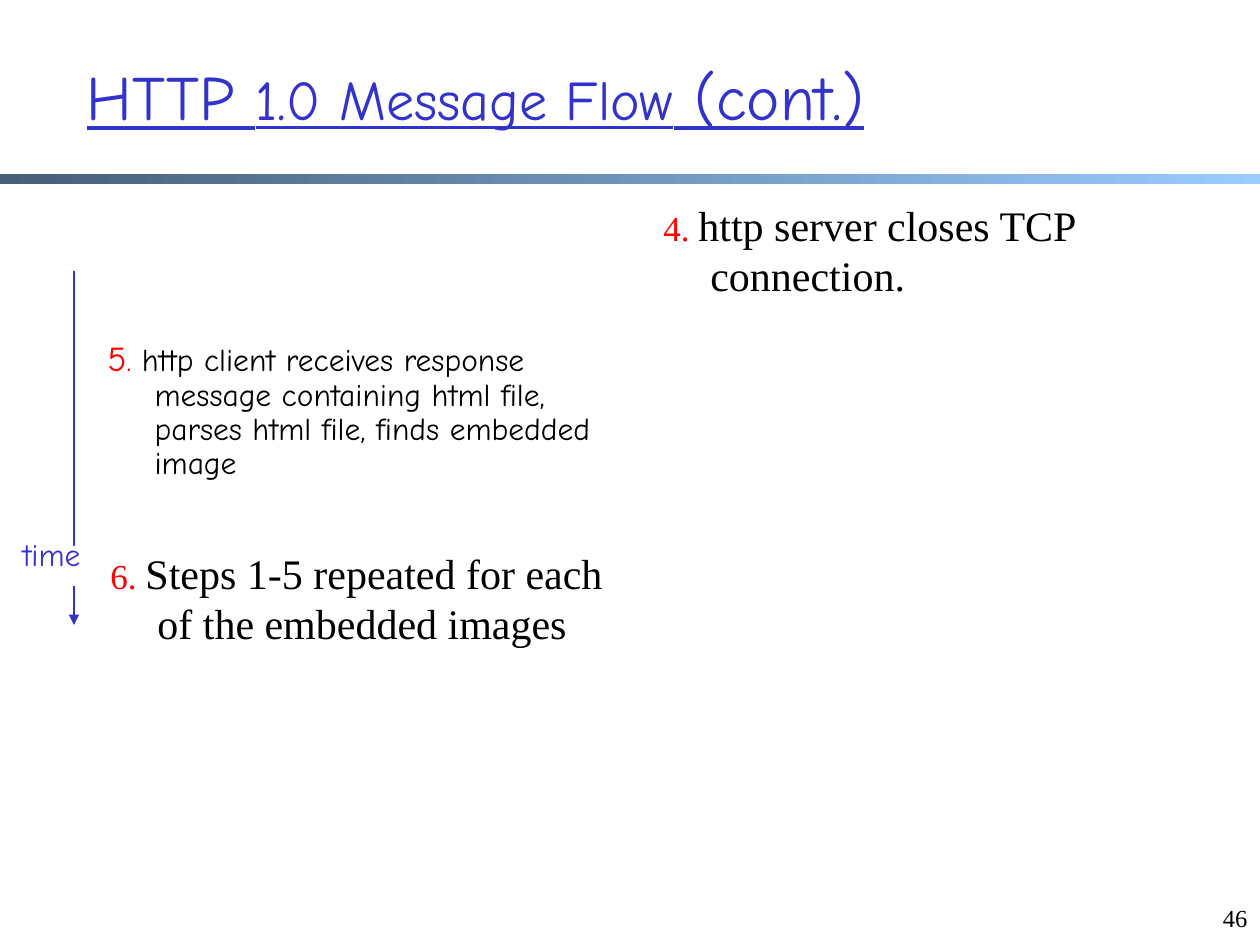
from lxml import etree
from pptx import Presentation
from pptx import util as u
from pptx.dml.color import RGBColor
from pptx.enum import shapes, text
from pptx.oxml.ns import qn

BLUE = RGBColor(0x33, 0x33, 0xCC)
RED = RGBColor(0xFF, 0x00, 0x00)
BLACK = RGBColor(0x00, 0x00, 0x00)
WHITE = RGBColor(0xFF, 0xFF, 0xFF)
BAR_DARK = RGBColor(0x47, 0x5E, 0x76)
BAR_LIGHT = RGBColor(0x99, 0xCC, 0xFF)
COMIC = "Comic Neue"
TIMES = "Times New Roman"
PX_PER_INCH = 126


def px(length):
    """Turn a length in px into EMU."""
    return u.Emu(round(length * 914400 / PX_PER_INCH))


def place(shape, box):
    """Move and size a shape to a box in px."""
    shape.left, shape.top, shape.width, shape.height = map(px, box)


def write(shape, runs, font_name, align=text.PP_ALIGN.LEFT):
    """Fill the first paragraph with (text, size, colour) runs."""
    frame = shape.text_frame
    frame.auto_size = text.MSO_AUTO_SIZE.NONE
    paragraph = frame.paragraphs[0]
    paragraph.alignment = align
    paragraph.space_before = u.Pt(0)
    paragraph.font.name = font_name
    for content, size, color in runs:
        run = paragraph.add_run()
        run.text = content
        run.font.name = font_name
        run.font.size = u.Pt(size)
        run.font.color.rgb = color
    return paragraph


def add_text(slide, box, runs, font_name, align=text.PP_ALIGN.LEFT, wrap=True):
    """Add a text box with one paragraph."""
    shape = slide.shapes.add_textbox(*map(px, box))
    shape.text_frame.word_wrap = wrap
    return write(shape, runs, font_name, align)


def hang(paragraph):
    """Give a step a hanging indent without a bullet."""
    properties = paragraph._p.get_or_add_pPr()
    properties.set("marL", str(px(47)))
    properties.set("indent", str(-px(47)))
    if properties.find(qn("a:buNone")) is None:
        bullet = etree.Element(qn("a:buNone"))
        spacing = properties.find(qn("a:spcBef"))
        spacing.addnext(bullet)


def add_rectangle(slide, box):
    """Add a rectangle without line or shadow."""
    shape = slide.shapes.add_shape(shapes.MSO_SHAPE.RECTANGLE, *map(px, box))
    shape.shadow.inherit = False
    shape.line.fill.background()
    return shape


def add_bar(slide):
    """Add the gradient bar below the title."""
    fill = add_rectangle(slide, (0, 174, 1260, 10)).fill
    fill.gradient()
    fill.gradient_angle = 0
    for stop, color, position in zip(fill.gradient_stops, (BAR_DARK, BAR_LIGHT), (0, 1)):
        stop.color.rgb = color
        stop.position = position


def add_time_axis(slide):
    """Add the downward time arrow with its label."""
    arrow = slide.shapes.add_connector(
        shapes.MSO_CONNECTOR.STRAIGHT, px(74), px(271), px(74), px(625))
    arrow.line.color.rgb = BLUE
    arrow.line.width = u.Pt(1.5)
    etree.SubElement(arrow.line._get_or_add_ln(), qn("a:tailEnd"), type="triangle")
    etree.SubElement(arrow._element.spPr, qn("a:effectLst"))
    gap = add_rectangle(slide, (42, 546, 48, 40))
    gap.fill.solid()
    gap.fill.fore_color.rgb = WHITE
    add_text(slide, (11, 529, 81, 63), [("time", 18, BLUE)], COMIC,
             text.PP_ALIGN.CENTER, wrap=False)


def main():
    """Build the message flow slide."""
    presentation = Presentation()
    presentation.slide_width, presentation.slide_height = px(1260), px(945)
    slide = presentation.slides.add_slide(presentation.slide_layouts[1])
    title, body = slide.placeholders
    add_bar(slide)

    place(title, (74, 35, 1071, 120))
    heading = write(title, [("HTTP ", 36, BLUE), ("1.0 Message Flow", 32, BLUE),
                            (" (cont.)", 36, BLUE)], COMIC)
    for run in heading.runs:
        run.font.underline = True

    place(body, (95, 335, 525, 212))
    step = write(body, [
        ("5", 20, RED), (".", 18, RED),
        (" http client receives response message containing html file, "
         "parses html file, finds embedded image", 18, BLACK)], COMIC)
    step.line_spacing = 0.9
    hang(step)

    for number, content, left, top, height in (
            ("6. ", "Steps 1-5 repeated for each of the embedded images", 98, 541, 92),
            ("4. ", "http server closes TCP connection.", 651, 193, 101)):
        hang(add_text(slide, (left, top, 525, height),
                      [(number, 20, RED), (content, 24, BLACK)], TIMES))

    add_time_axis(slide)
    add_text(slide, (1197, 897, 63, 63), [("46", 14, BLACK)], TIMES,
             text.PP_ALIGN.RIGHT)
    presentation.save("out.pptx")


if __name__ == "__main__":
    main()
